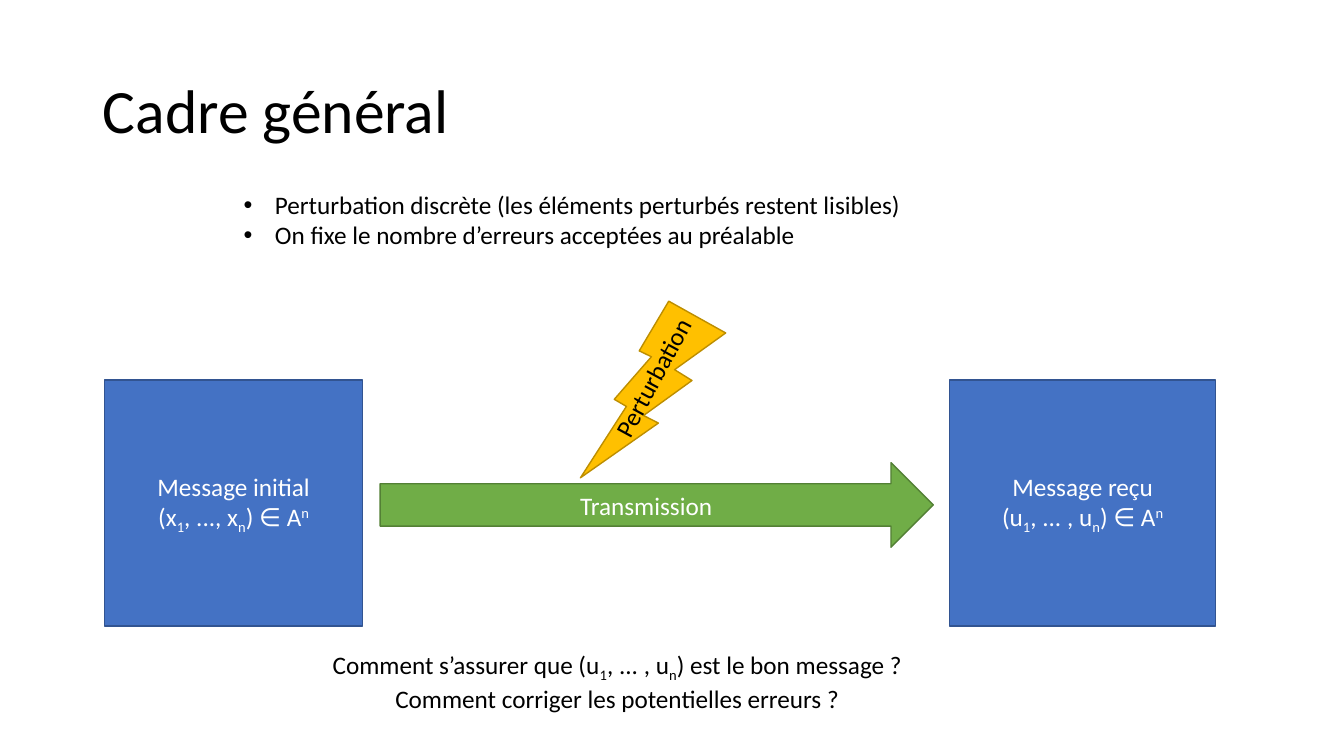
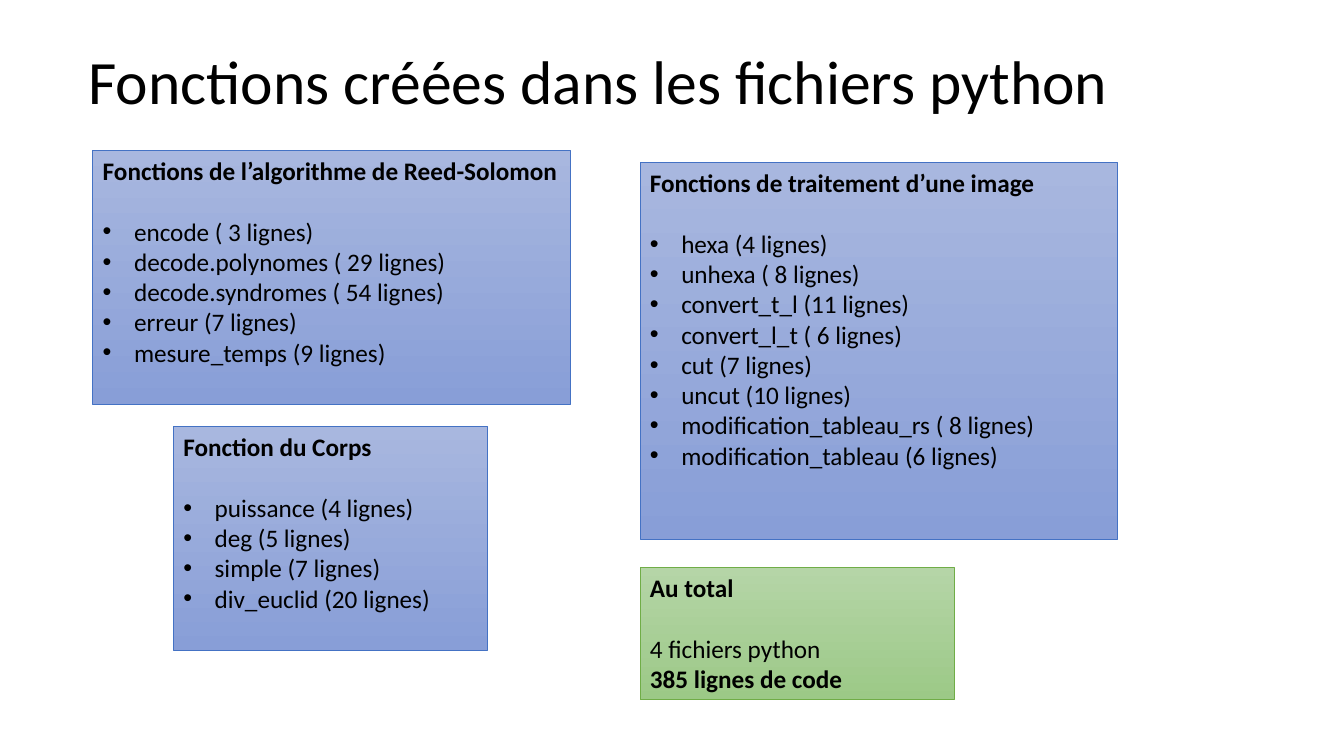
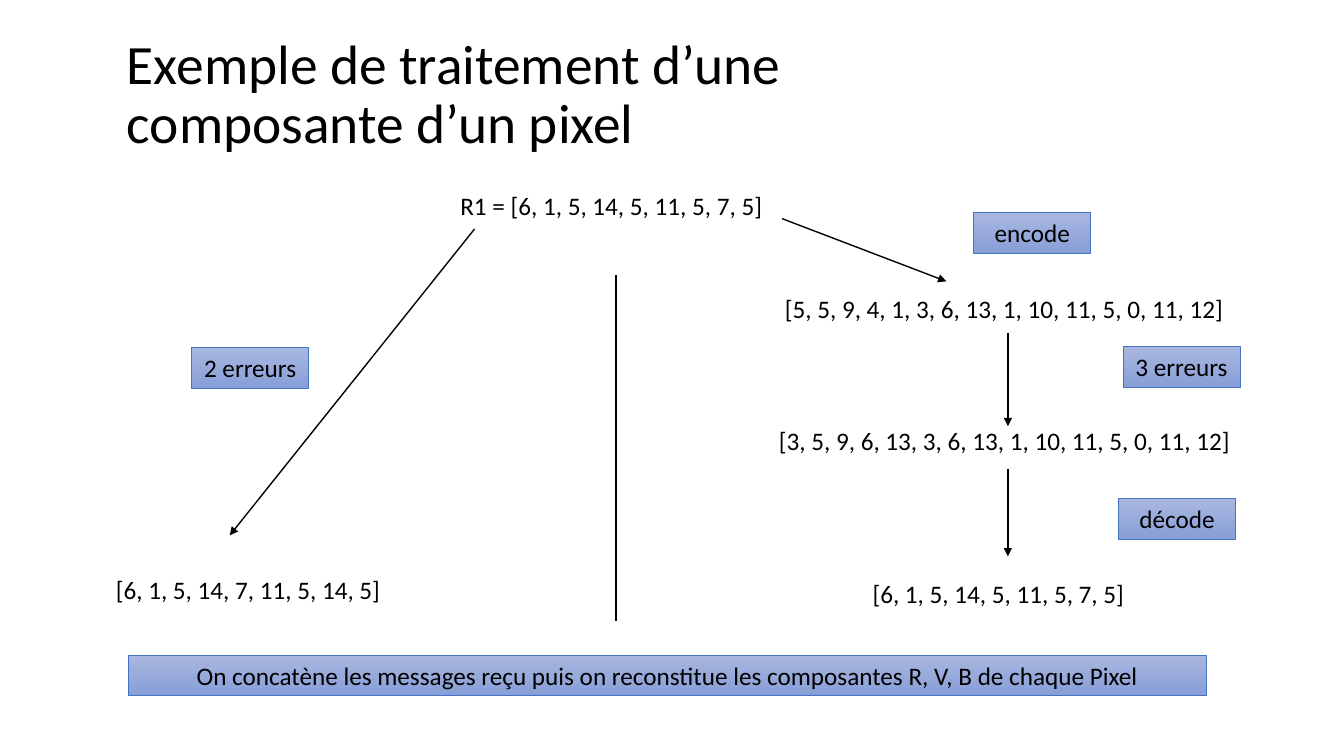
"""Build three slides about error-correcting codes."""
from lxml.etree import SubElement
from pptx import Presentation
from pptx.dml.color import RGBColor
from pptx.enum.shapes import MSO_CONNECTOR, MSO_SHAPE as SHAPE
from pptx.enum.text import MSO_ANCHOR as ANCHOR, PP_ALIGN as ALIGN
from pptx.oxml.ns import qn
from pptx.util import Cm, Pt

FONT = "Calibri"
BODY = 18
BLACK = RGBColor(0x00, 0x00, 0x00)
WHITE = RGBColor(0xFF, 0xFF, 0xFF)
BLUE = RGBColor(0x44, 0x72, 0xC4)
BLUE_EDGE = RGBColor(0x32, 0x54, 0x91)
GREEN = RGBColor(0x70, 0xAD, 0x47)
GREEN_EDGE = RGBColor(0x53, 0x80, 0x35)
GOLD = RGBColor(0xFF, 0xC0, 0x00)
GOLD_EDGE = RGBColor(0xBD, 0x8E, 0x00)
SOFT_BLUE = [RGBColor(0xA8, 0xB7, 0xDF), RGBColor(0x88, 0x9E, 0xD7)]
SOFT_GREEN = [RGBColor(0xB5, 0xD5, 0xA7), RGBColor(0x9C, 0xC9, 0x87)]

SUB, SUP = -25000, 30000
LINE_HEIGHT = 1.02


def vector(letter, dots, lead=""):
    return [(f"{lead}({letter}", 0), ("1", SUB), (f", {dots}, {letter}", 0), ("n", SUB)]


IN_ALPHABET = [(") ∈ A", 0), ("n", SUP)]
MESSAGES = [
    ((2.64, 9.58, 6.5, 6.2), ["Message initial", vector("x", "...") + IN_ALPHABET]),
    ((23.93, 9.58, 6.71, 6.2), ["Message reçu", vector("u", "... ") + IN_ALPHABET]),
]
HYPOTHESES = [
    "Perturbation discrète (les éléments perturbés restent lisibles)",
    "On fixe le nombre d’erreurs acceptées au préalable",
]
QUESTIONS = [
    vector("u", "... ", "Comment s’assurer que ") + [(") est le bon message ?", 0)],
    "Comment corriger les potentielles erreurs ?",
]

FUNCTION_PANELS = [
    ((2.34, 3.78, 12.04, 6.4), "Fonctions de l’algorithme de Reed-Solomon", [
        "encode ( 3 lignes)", "decode.polynomes ( 29 lignes)",
        "decode.syndromes ( 54 lignes)", "erreur (7 lignes)",
        "mesure_temps (9 lignes)"]),
    ((4.37, 10.74, 7.92, 5.64), "Fonction du Corps", [
        "puissance (4 lignes)", "deg (5 lignes)", "simple (7 lignes)",
        "div_euclid (20 lignes)"]),
    ((16.13, 4.09, 12.04, 9.5), "Fonctions de traitement d’une image", [
        "hexa (4 lignes)", "unhexa ( 8 lignes)", "convert_t_l (11 lignes)",
        "convert_l_t ( 6 lignes)", "cut (7 lignes)", "uncut (10 lignes)",
        "modification_tableau_rs ( 8 lignes)",
        "modification_tableau (6 lignes)"]),
]
TOTAL_BOX = (16.13, 14.3, 7.92, 3.33)
TOTAL = ["4 fichiers python", "385 lignes de code"]

VECTORS = [
    (11.35, 4.67, 8.41, "R1 = [6, 1, 5, 14, 5, 11, 5, 7, 5]"),
    (19.53, 7.26, 11.71, "[5, 5, 9, 4, 1, 3, 6, 13, 1, 10, 11, 5, 0, 11, 12]"),
    (19.38, 10.59, 12.04, "[3, 5, 9, 6, 13, 3, 6, 13, 1, 10, 11, 5, 0, 11, 12]"),
    (2.67, 14.35, 7.26, "[6, 1, 5, 14, 7, 11, 5, 14, 5]"),
    (21.74, 14.45, 7.26, "[6, 1, 5, 14, 5, 11, 5, 7, 5]"),
]
LABELS = [
    (24.54, 5.36, 2.95, "encode"),
    (28.3, 8.74, 2.95, "3 erreurs"),
    (4.83, 8.76, 2.95, "2 erreurs"),
    (28.19, 12.57, 2.95, "décode"),
    (3.23, 16.51, 27.18, "On concatène les messages reçu puis on reconstitue "
                         "les composantes R, V, B de chaque Pixel"),
]
ARROWS = [
    (19.71, 5.51, 23.85, 7.09),
    (25.4, 8.38, 25.4, 10.74),
    (25.4, 11.81, 25.4, 14.02),
    (11.96, 5.77, 5.79, 13.49),
]
SEPARATOR = (15.52, 6.93, 15.52, 15.65)


def write(sp, paragraphs, color=BLACK, size=BODY, align=ALIGN.LEFT, anchor=ANCHOR.TOP):
    tf = sp.text_frame
    tf.word_wrap = True
    tf.vertical_anchor = anchor
    for i, content in enumerate(paragraphs):
        p = tf.paragraphs[0] if i == 0 else tf.add_paragraph()
        p.alignment = align
        for text, baseline in [(content, 0)] if isinstance(content, str) else content:
            r = p.add_run()
            r.text = text
            r.font.name, r.font.size = FONT, Pt(size)
            r.font.color.rgb = color
            if baseline:
                r._r.get_or_add_rPr().set("baseline", str(baseline))
    return tf


def bullet(p):
    pPr = p._p.get_or_add_pPr()
    pPr.set("marL", str(Cm(0.79)))
    pPr.set("indent", str(Cm(-0.79)))
    SubElement(pPr, qn("a:buFont")).set("typeface", "Arial")
    SubElement(pPr, qn("a:buChar")).set("char", "•")


def add_text(s, box, paragraphs, **style):
    sp = s.shapes.add_textbox(*map(Cm, box))
    write(sp, paragraphs, **style)
    return sp


def add_title(s, box, text, size=44):
    sp = add_text(s, box, [text], size=size, anchor=ANCHOR.MIDDLE)
    sp.text_frame.paragraphs[0].line_spacing = 0.9


def add_block(s, kind, box, fill, edge, width=1):
    sp = s.shapes.add_shape(kind, *map(Cm, box))
    sp.shadow.inherit = False
    if isinstance(fill, RGBColor):
        sp.fill.solid()
        sp.fill.fore_color.rgb = fill
    else:
        sp.fill.gradient()
        sp.fill.gradient_angle = 270
        for stop, color in zip(sp.fill.gradient_stops, fill):
            stop.color.rgb = color
    sp.line.color.rgb = edge
    sp.line.width = Pt(width)
    return sp


def add_panel(s, box, heading, items, fill=SOFT_BLUE, edge=BLUE, bulleted=True):
    sp = add_block(s, SHAPE.RECTANGLE, box, fill, edge, 0.5)
    head, *rows = write(sp, [heading, *items]).paragraphs
    head.runs[0].font.bold = True
    head.space_after = Pt(22)
    if bulleted:
        for p in rows:
            bullet(p)
    return rows


def add_line(s, ends, arrow=True):
    line = s.shapes.add_connector(MSO_CONNECTOR.STRAIGHT, *map(Cm, ends))
    line.line.color.rgb = BLACK
    line.line.width = Pt(1)
    if arrow:
        SubElement(line.line._get_or_add_ln(), qn("a:tailEnd")).set("type", "triangle")
    SubElement(line._element.spPr, qn("a:effectLst"))


def framework_slide(s):
    add_title(s, (2.34, 1.02, 29.21, 3.68), "Cadre général")
    centred = dict(color=WHITE, align=ALIGN.CENTER, anchor=ANCHOR.MIDDLE)
    for box, lines in MESSAGES:
        write(add_block(s, SHAPE.RECTANGLE, box, BLUE, BLUE_EDGE), lines, **centred)
    channel = add_block(s, SHAPE.RIGHT_ARROW, (9.58, 11.66, 13.94, 2.13), GREEN, GREEN_EDGE)
    write(channel, ["Transmission"], **centred)
    bolt = add_block(s, SHAPE.LIGHTNING_BOLT, (14.63, 7.59, 3.66, 4.45), GOLD, GOLD_EDGE)
    bolt._element.spPr.find(qn("a:xfrm")).set("flipH", "1")
    add_text(s, (14.38, 8.69, 4.47, LINE_HEIGHT), ["Perturbation"]).rotation = 298.5
    hypotheses = add_text(s, (5.89, 4.65, 20.35, 4.11), HYPOTHESES)
    for p in hypotheses.text_frame.paragraphs:
        bullet(p)
    add_text(s, (5.38, 16.23, 20.35, 1.8), QUESTIONS, align=ALIGN.CENTER)


def functions_slide(s):
    add_title(s, (1.98, 0.43, 29.21, 3.38), "Fonctions créées dans les fichiers python")
    for panel in FUNCTION_PANELS:
        add_panel(s, *panel)
    rows = add_panel(s, TOTAL_BOX, "Au total", TOTAL, SOFT_GREEN, GREEN, bulleted=False)
    rows[-1].runs[0].font.bold = True


def pixel_slide(s):
    add_title(s, (2.95, 1.19, 18.59, 2.46),
              "Exemple de traitement d’une composante d’un pixel", 39.6)
    for *place, text in VECTORS:
        add_text(s, (*place, LINE_HEIGHT), [text])
    for *place, text in LABELS:
        sp = add_block(s, SHAPE.RECTANGLE, (*place, LINE_HEIGHT), SOFT_BLUE, BLUE, 0.5)
        write(sp, [text], align=ALIGN.CENTER)
    for ends in ARROWS:
        add_line(s, ends)
    add_line(s, SEPARATOR, arrow=False)


def main():
    prs = Presentation()
    prs.slide_width, prs.slide_height = Cm(33.87), Cm(19.05)
    for build in (framework_slide, functions_slide, pixel_slide):
        build(prs.slides.add_slide(prs.slide_layouts[6]))
    prs.save("out.pptx")


if __name__ == "__main__":
    main()
